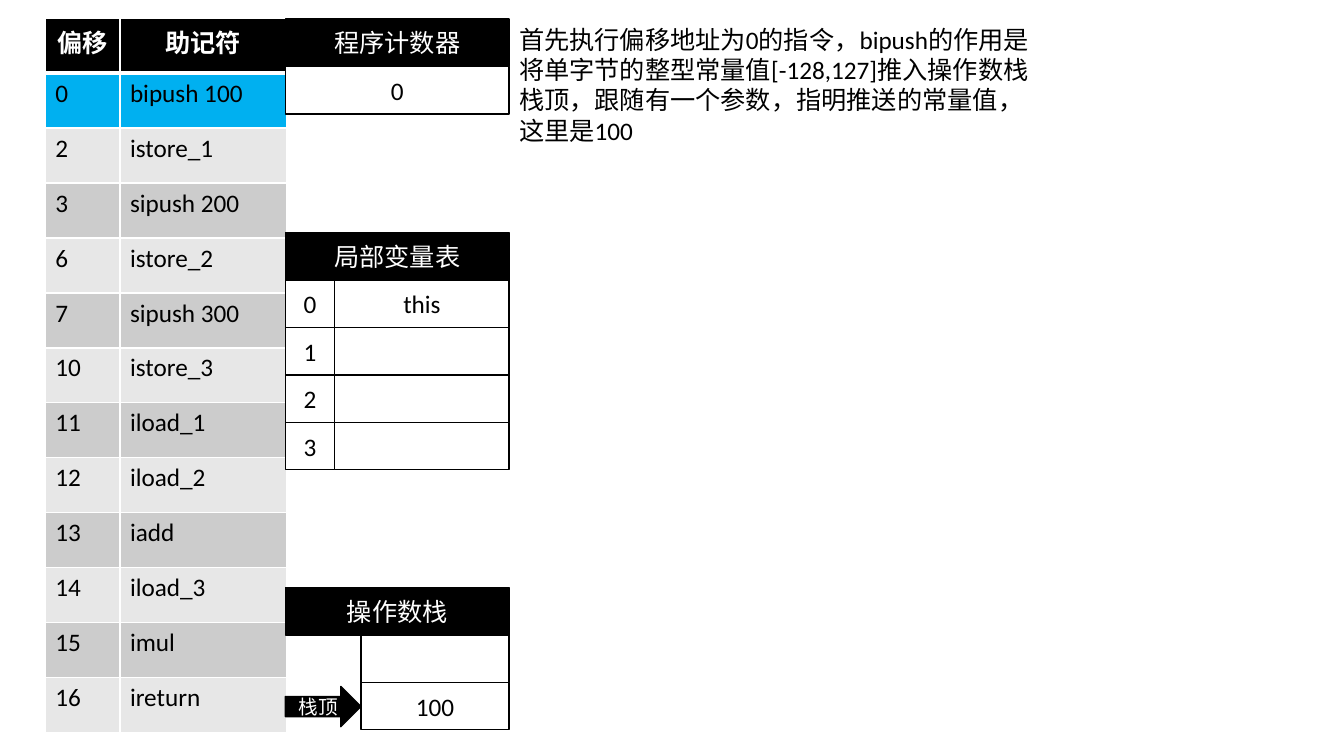
from dataclasses import dataclass
from typing import Any

from lxml import etree
from pptx import Presentation
from pptx import util as u
from pptx.dml.color import RGBColor
from pptx.enum import shapes, text
from pptx.oxml import ns

BLACK, WHITE, CURRENT = "000000", "FFFFFF", "00B0F0"
BANDS = ("CCCCCC", "E7E7E7")
PANEL_LEFT, PANEL_WIDTH, ROW_HEIGHT = 2.83, 2.22, 0.47
CODE_ROW_HEIGHT = 7.09 / 13

INSTRUCTIONS = [
    ("0", "bipush 100"), ("2", "istore_1"), ("3", "sipush 200"),
    ("6", "istore_2"), ("7", "sipush 300"), ("10", "istore_3"),
    ("11", "iload_1"), ("12", "iload_2"), ("13", "iadd"),
    ("14", "iload_3"), ("15", "imul"), ("16", "ireturn"),
]
EXPLANATION = (
    "首先执行偏移地址为0的指令，bipush的作用是将单字节的整型常量值[-128,127]"
    "推入操作数栈栈顶，跟随有一个参数，指明推送的常量值，这里是100"
)


@dataclass
class Panel:
    title: str
    top: float
    values: list[str]
    indent: float = 0
    numbered: bool = False
    pointer: str = ""


PANELS = [
    Panel("局部变量表", 2.31, ["this", "", "", ""], indent=0.49, numbered=True),
    Panel("程序计数器", 0.19, ["0"]),
    Panel("操作数栈", 5.83, ["", "100"], indent=0.75, pointer="栈顶"),
]


def color(value: str) -> RGBColor:
    return RGBColor.from_string(value)


def write(frame: Any, words: str, ink: str, size: float = 18,
          bold: bool = False, centred: bool = True) -> None:
    paragraph = frame.paragraphs[0]
    paragraph.alignment = text.PP_ALIGN.CENTER if centred else text.PP_ALIGN.LEFT
    run = paragraph.add_run()
    run.text = words
    style = {"name": "Calibri", "size": u.Pt(size), "bold": bold}
    for attribute, value in style.items():
        setattr(run.font, attribute, value)
    run.font.color.rgb = color(ink)


def add_box(parent: Any, left: float, top: float, width: float, height: float,
            words: str, fill: str = WHITE, size: float = 18,
            kind: Any = shapes.MSO_SHAPE.RECTANGLE) -> None:
    box = parent.add_shape(kind, *map(u.Inches, (left, top, width, height)))
    box.shadow.inherit = False
    box.fill.solid()
    box.fill.fore_color.rgb = color(fill)
    box.line.color.rgb = color(BLACK)
    box.line.width = u.Pt(1)
    box.text_frame.vertical_anchor = text.MSO_ANCHOR.MIDDLE
    if words:
        write(box.text_frame, words, WHITE if fill == BLACK else BLACK, size)


def add_panel(slide: Any, panel: Panel) -> None:
    group = slide.shapes.add_group_shape().shapes
    add_box(group, PANEL_LEFT, panel.top, PANEL_WIDTH, ROW_HEIGHT, panel.title, BLACK)
    for index, value in enumerate(panel.values):
        top = panel.top + (index + 1) * ROW_HEIGHT
        add_box(group, PANEL_LEFT + panel.indent, top,
                PANEL_WIDTH - panel.indent, ROW_HEIGHT, value)
        if panel.numbered:
            add_box(group, PANEL_LEFT, top, panel.indent, ROW_HEIGHT, str(index))
    if panel.pointer:
        add_box(group, PANEL_LEFT, top + 0.04, panel.indent, 0.4, panel.pointer,
                BLACK, 14, shapes.MSO_SHAPE.RIGHT_ARROW)


def set_borders(cell: Any, bottom: float, top: float) -> None:
    properties = cell._tc.get_or_add_tcPr()
    for side, width in {"L": 1, "R": 1, "T": top, "B": bottom}.items():
        line = etree.SubElement(properties, ns.qn(f"a:ln{side}"), w=str(u.Pt(width)))
        fill = etree.SubElement(line, ns.qn("a:solidFill"))
        etree.SubElement(fill, ns.qn("a:srgbClr"), val=WHITE)


def add_bytecode(slide: Any) -> None:
    rows = [("偏移", "助记符"), *INSTRUCTIONS]
    bytecode = slide.shapes.add_table(
        len(rows), 2, *map(u.Inches, (0.45, 0.18, 2.39, 7.09))).table
    for column, width in zip(bytecode.columns, (0.74, 1.65)):
        column.width = u.Inches(width)
    for index, entries in enumerate(rows):
        bytecode.rows[index].height = u.Inches(CODE_ROW_HEIGHT)
        header = index == 0
        fill = {0: BLACK, 1: CURRENT}.get(index, BANDS[(index + 1) % 2])
        for column, words in enumerate(entries):
            cell = bytecode.cell(index, column)
            set_borders(cell, bottom=3 if header else 1, top=3 if index == 1 else 1)
            cell.fill.solid()
            cell.fill.fore_color.rgb = color(fill)
            write(cell.text_frame, words, WHITE if header else BLACK,
                  bold=header, centred=header)


def add_explanation(slide: Any) -> None:
    explanation = slide.shapes.add_textbox(*map(u.Inches, (5.05, 0.19, 5.42, 1.31)))
    layout = {"word_wrap": True, "auto_size": text.MSO_AUTO_SIZE.SHAPE_TO_FIT_TEXT}
    for attribute, value in layout.items():
        setattr(explanation.text_frame, attribute, value)
    write(explanation.text_frame, EXPLANATION, BLACK, centred=False)


def main() -> None:
    deck = Presentation()
    deck.slide_width, deck.slide_height = u.Inches(13.33), u.Inches(7.5)
    slide = deck.slides.add_slide(deck.slide_layouts[6])
    # Bytecode listing
    add_bytecode(slide)
    # Runtime state of the stack frame
    for panel in PANELS:
        add_panel(slide, panel)
    # Explanation of the current step
    add_explanation(slide)
    deck.save("out.pptx")


if __name__ == "__main__":
    main()
